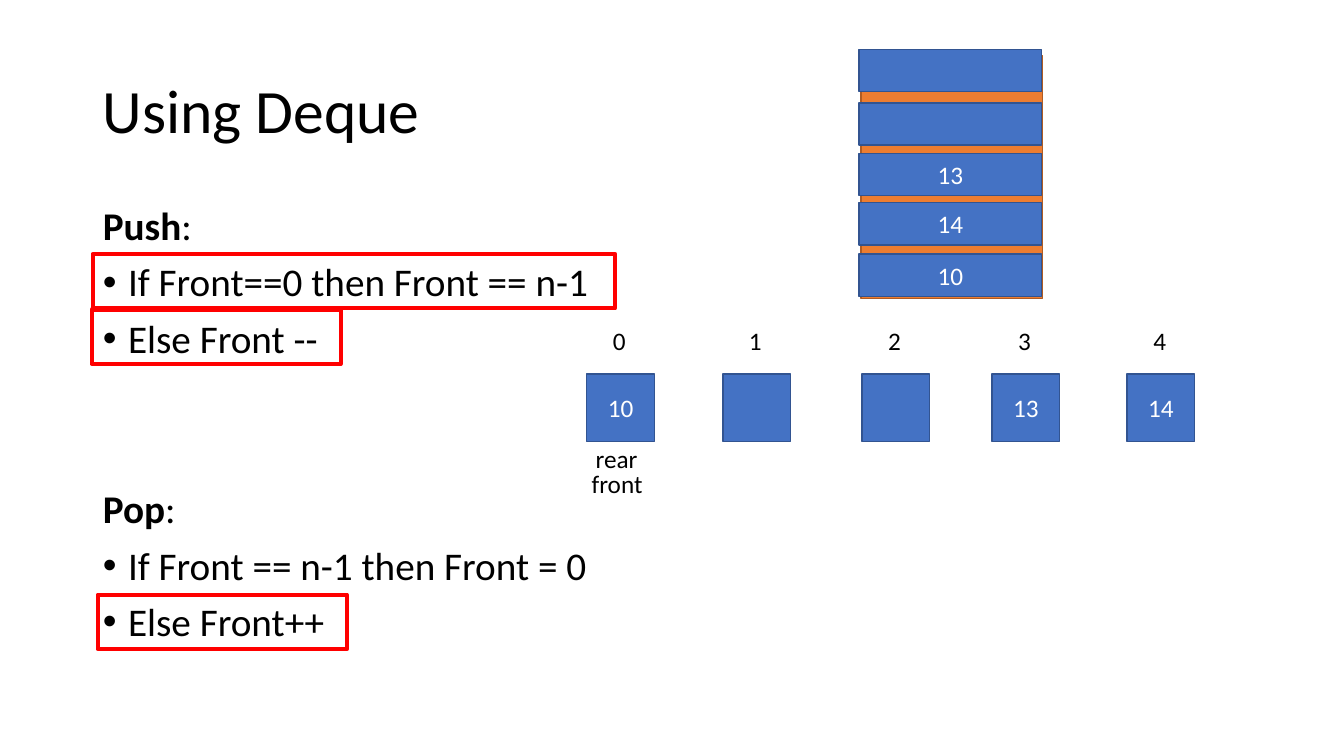
from typing import NamedTuple, Optional

from lxml import etree
from pptx import Presentation
from pptx.dml.color import RGBColor
from pptx.enum.shapes import MSO_SHAPE
from pptx.enum.text import MSO_ANCHOR, MSO_AUTO_SIZE, PP_ALIGN
from pptx.oxml.ns import qn
from pptx.util import Inches, Pt

RECT = MSO_SHAPE.RECTANGLE
MIDDLE, TOP = MSO_ANCHOR.MIDDLE, MSO_ANCHOR.TOP
LEFT, CENTER = PP_ALIGN.LEFT, PP_ALIGN.CENTER
NO_AUTOFIT = MSO_AUTO_SIZE.NONE

BLACK = RGBColor(0x00, 0x00, 0x00)
WHITE = RGBColor(0xFF, 0xFF, 0xFF)
BLUE = RGBColor(0x44, 0x72, 0xC4)
BLUE_EDGE = RGBColor(0x32, 0x54, 0x91)
ORANGE = RGBColor(0xED, 0x7D, 0x31)
ORANGE_EDGE = RGBColor(0xAF, 0x5C, 0x24)
RED = RGBColor(0xFF, 0x00, 0x00)
FONT = "Calibri"


class Box(NamedTuple):
    """Position and size in inches."""
    left: float
    top: float
    width: float
    height: float


class Style(NamedTuple):
    """Fill, line colour and line width of a rectangle."""
    fill: Optional[RGBColor]
    line: RGBColor
    points: float


class Cell(NamedTuple):
    """A stored value and its offset along the array or stack."""
    offset: float
    value: str


class Step(NamedTuple):
    """One line of the algorithm; headings are bold with a plain colon."""
    text: str
    heading: bool = False
    space_before: float = 10


CELL = Style(BLUE, BLUE_EDGE, 1)
STACK_BACK = Style(ORANGE, ORANGE_EDGE, 1)
HIGHLIGHT = Style(None, RED, 3)

STEPS = [
    Step("Push", heading=True),
    Step("If Front==0 then Front == n-1"),
    Step("Else Front -- "),
    Step("Pop", heading=True, space_before=91.5),
    Step("If Front == n-1 then Front = 0"),
    Step("Else Front++"),
]
ARRAY = [Cell(5.82, "10"), Cell(7.17, ""), Cell(8.55, ""), Cell(9.84, "13"), Cell(11.18, "14")]
STACK = [Cell(0.49, ""), Cell(1.02, ""), Cell(1.52, "13"), Cell(2.01, "14"), Cell(2.52, "10")]
POINTERS = [("rear", Box(5.81, 4.35, 0.71, 0.4)), ("front", Box(5.77, 4.6, 0.71, 0.4))]
HIGHLIGHTS = [Box(0.92, 2.52, 5.18, 0.54), Box(0.91, 3.07, 2.47, 0.54), Box(0.97, 5.9, 2.47, 0.54)]


def place(shape, box: Box) -> None:
    """Move and size a shape."""
    shape.left, shape.top, shape.width, shape.height = map(Inches, box)


def add_run(p, text: str, size: float, color: RGBColor = BLACK, bold: bool = False) -> None:
    """Append one formatted run to a paragraph."""
    r = p.add_run()
    r.text = text
    r.font.name, r.font.size, r.font.bold = FONT, Pt(size), bold
    r.font.color.rgb = color


def set_bullet(p, bulleted: bool) -> None:
    """Give a paragraph a hanging bullet, or none at all."""
    p_pr = p._p.get_or_add_pPr()
    indent = Inches(0.25) if bulleted else 0
    p_pr.set("marL", str(indent))
    p_pr.set("indent", str(-indent))
    if bulleted:
        etree.SubElement(p_pr, qn("a:buFont")).set("typeface", "Arial")
        etree.SubElement(p_pr, qn("a:buChar")).set("char", "•")
    else:
        etree.SubElement(p_pr, qn("a:buNone"))


def add_rect(s, box: Box, style: Style, text: str = "") -> None:
    """Draw a rectangle with optional centred white text."""
    shape = s.shapes.add_shape(RECT, *map(Inches, box))
    shape.shadow.inherit = False
    if style.fill is None:
        shape.fill.background()
    else:
        shape.fill.solid()
        shape.fill.fore_color.rgb = style.fill
    shape.line.color.rgb = style.line
    shape.line.width = Pt(style.points)
    if text:
        tf = shape.text_frame
        tf.vertical_anchor = MIDDLE
        p = tf.paragraphs[0]
        p.alignment = CENTER
        add_run(p, text, 18, WHITE)


def add_label(s, text: str, box: Box) -> None:
    """Add a small black label."""
    tf = s.shapes.add_textbox(*map(Inches, box)).text_frame
    tf.word_wrap = True
    add_run(tf.paragraphs[0], text, 18)


def fill_title(title) -> None:
    """Place and write the slide title."""
    place(title, Box(0.92, 0.4, 11.5, 1.45))
    tf = title.text_frame
    tf.auto_size, tf.vertical_anchor = NO_AUTOFIT, MIDDLE
    p = tf.paragraphs[0]
    p.alignment, p.line_spacing = LEFT, 0.9
    add_run(p, "Using Deque", 44)


def fill_steps(body) -> None:
    """Place the body and write the push and pop steps."""
    place(body, Box(0.92, 2, 11.5, 4.76))
    tf = body.text_frame
    tf.auto_size, tf.vertical_anchor = NO_AUTOFIT, TOP
    for i, step in enumerate(STEPS):
        p = tf.add_paragraph() if i else tf.paragraphs[0]
        p.line_spacing, p.space_before = 0.9, Pt(step.space_before)
        set_bullet(p, not step.heading)
        add_run(p, step.text, 28, bold=step.heading)
        if step.heading:
            add_run(p, ":", 28)


prs = Presentation()
prs.slide_width, prs.slide_height = Inches(13.33), Inches(7.5)
s = prs.slides.add_slide(prs.slide_layouts[1])
fill_title(s.shapes.title)
fill_steps(s.placeholders[1])

for index, cell in enumerate(ARRAY):
    add_rect(s, Box(cell.offset, 3.71, 0.67, 0.67), CELL, cell.value)
    add_label(s, str(index), Box(cell.offset + 0.16, 3.18, 0.35, 0.4))
for name, box in POINTERS:
    add_label(s, name, box)

add_rect(s, Box(8.54, 0.55, 1.8, 2.41), STACK_BACK)
for cell in STACK:
    add_rect(s, Box(8.52, cell.offset, 1.81, 0.42), CELL, cell.value)
for box in HIGHLIGHTS:
    add_rect(s, box, HIGHLIGHT)

prs.save("out.pptx")
